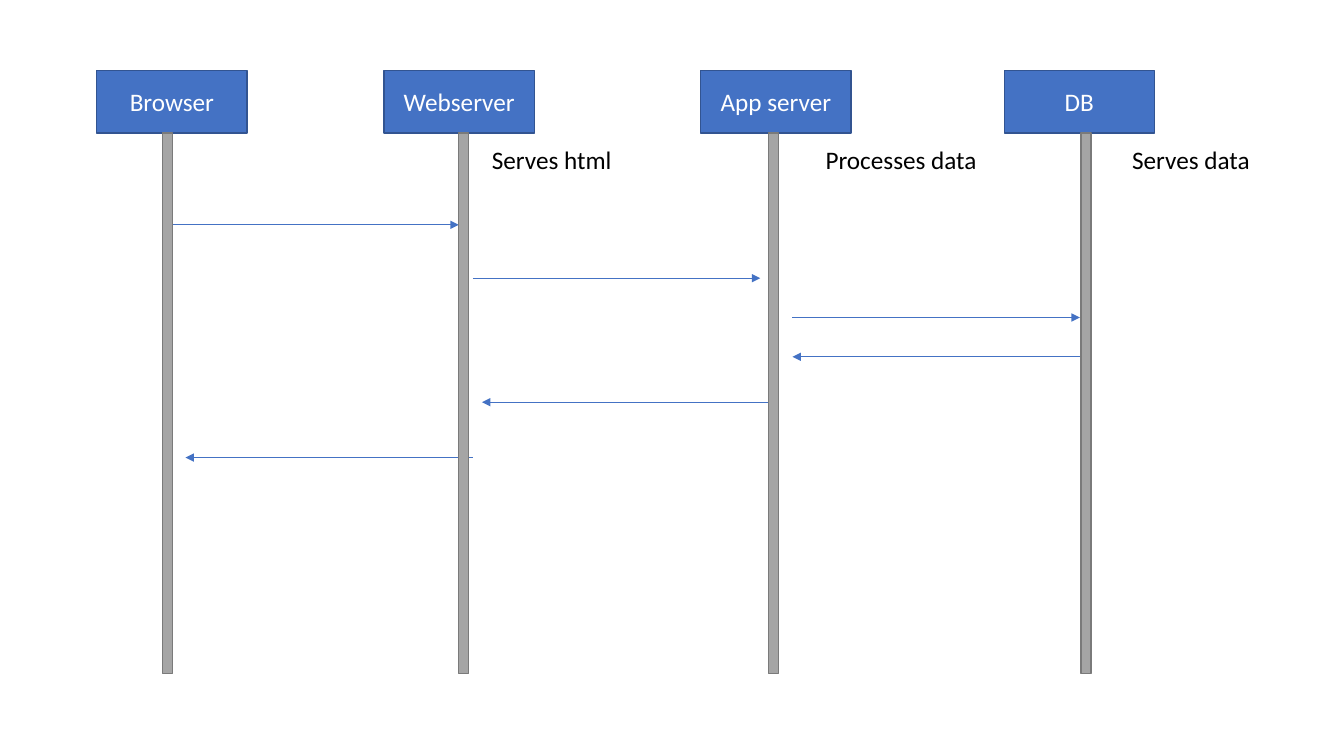
from typing import NamedTuple

from lxml.etree import SubElement
from pptx import Presentation
from pptx.dml.color import RGBColor
from pptx.enum.shapes import MSO_CONNECTOR, MSO_SHAPE
from pptx.enum.text import MSO_ANCHOR, MSO_AUTO_SIZE, PP_ALIGN
from pptx.oxml.ns import qn
from pptx.shapes.autoshape import Shape
from pptx.slide import Slide
from pptx.text.text import TextFrame
from pptx.util import Inches, Pt

BLUE = RGBColor(0x44, 0x72, 0xC4)
DARK_BLUE = RGBColor(0x32, 0x54, 0x91)
GRAY = RGBColor(0xA5, 0xA5, 0xA5)
DARK_GRAY = RGBColor(0x7A, 0x7A, 0x7A)
WHITE = RGBColor(0xFF, 0xFF, 0xFF)
BLACK = RGBColor(0x00, 0x00, 0x00)

HEADER_TOP, HEADER_WIDTH, HEADER_HEIGHT = 0.7, 1.49, 0.62
LIFELINE_TOP = HEADER_TOP + HEADER_HEIGHT
LIFELINE_WIDTH, LIFELINE_HEIGHT = 0.1, 5.36
ROLE_TOP, ROLE_HEIGHT = 1.38, 0.4
MESSAGE_LENGTH = 2.85
REQUEST, RESPONSE = "a:tailEnd", "a:headEnd"


class Participant(NamedTuple):
    """A header with the lifeline below it."""
    name: str
    header_left: float
    lifeline_left: float


class Role(NamedTuple):
    """What a participant does."""
    text: str
    left: float
    width: float = 1.49


class Message(NamedTuple):
    """An arrow between two lifelines, with the end that carries its head."""
    left: float
    y: float
    arrow_end: str


PARTICIPANTS = [
    Participant("Browser", 0.96, 1.61),
    Participant("Webserver", 3.81, 4.55),
    Participant("App server", 6.95, 7.62),
    Participant("DB", 9.96, 10.72),
]
ROLES = [
    Role("Serves html", 4.78),
    Role("Processes data", 8.09, 1.8),
    Role("Serves data", 11.13),
]
MESSAGES = [
    Message(1.7, 2.23, REQUEST),
    Message(4.69, 2.76, REQUEST),
    Message(7.86, 3.15, REQUEST),
    Message(7.86, 3.54, RESPONSE),
    Message(4.78, 3.99, RESPONSE),
    Message(1.84, 4.54, RESPONSE),
]


def write(frame: TextFrame, text: str, color: RGBColor, alignment: PP_ALIGN) -> None:
    """Put one formatted paragraph in a text frame."""
    frame.word_wrap = True
    paragraph = frame.paragraphs[0]
    paragraph.text = text
    paragraph.alignment = alignment
    paragraph.font.name = "Calibri"
    paragraph.font.size = Pt(18)
    paragraph.font.color.rgb = color


def add_box(slide: Slide, left: float, top: float, width: float, height: float,
            fill: RGBColor, outline: RGBColor) -> Shape:
    """Add a flat outlined rectangle."""
    box = slide.shapes.add_shape(
        MSO_SHAPE.RECTANGLE, Inches(left), Inches(top), Inches(width), Inches(height))
    box.shadow.inherit = False
    box.fill.solid()
    box.fill.fore_color.rgb = fill
    box.line.color.rgb = outline
    box.line.width = Pt(1)
    return box


def add_header(slide: Slide, participant: Participant) -> None:
    """Add the named box of a participant."""
    header = add_box(slide, participant.header_left, HEADER_TOP,
                     HEADER_WIDTH, HEADER_HEIGHT, BLUE, DARK_BLUE)
    header.text_frame.vertical_anchor = MSO_ANCHOR.MIDDLE
    write(header.text_frame, participant.name, WHITE, PP_ALIGN.CENTER)


def add_lifeline(slide: Slide, participant: Participant) -> None:
    """Add the vertical bar of a participant."""
    add_box(slide, participant.lifeline_left, LIFELINE_TOP,
            LIFELINE_WIDTH, LIFELINE_HEIGHT, GRAY, DARK_GRAY)


def add_role(slide: Slide, role: Role) -> None:
    """Add the text beside a lifeline."""
    label = slide.shapes.add_textbox(
        Inches(role.left), Inches(ROLE_TOP), Inches(role.width), Inches(ROLE_HEIGHT))
    write(label.text_frame, role.text, BLACK, PP_ALIGN.LEFT)
    label.text_frame.auto_size = MSO_AUTO_SIZE.SHAPE_TO_FIT_TEXT


def add_message(slide: Slide, message: Message) -> None:
    """Add a horizontal arrow."""
    y = Inches(message.y)
    arrow = slide.shapes.add_connector(
        MSO_CONNECTOR.STRAIGHT, Inches(message.left), y,
        Inches(message.left + MESSAGE_LENGTH), y)
    arrow.line.color.rgb = BLUE
    arrow.line.width = Pt(0.5)
    SubElement(arrow.line._get_or_add_ln(), qn(message.arrow_end), type="triangle")
    SubElement(arrow._element.spPr, qn("a:effectLst"))


def main() -> None:
    """Build the sequence diagram."""
    presentation = Presentation()
    presentation.slide_width = Inches(13.33)
    presentation.slide_height = Inches(7.5)
    slide = presentation.slides.add_slide(presentation.slide_layouts[6])
    for participant in PARTICIPANTS:
        add_header(slide, participant)
    for role in ROLES:
        add_role(slide, role)
    for message in MESSAGES:
        add_message(slide, message)
    for participant in PARTICIPANTS:
        add_lifeline(slide, participant)
    presentation.save("out.pptx")


main()
